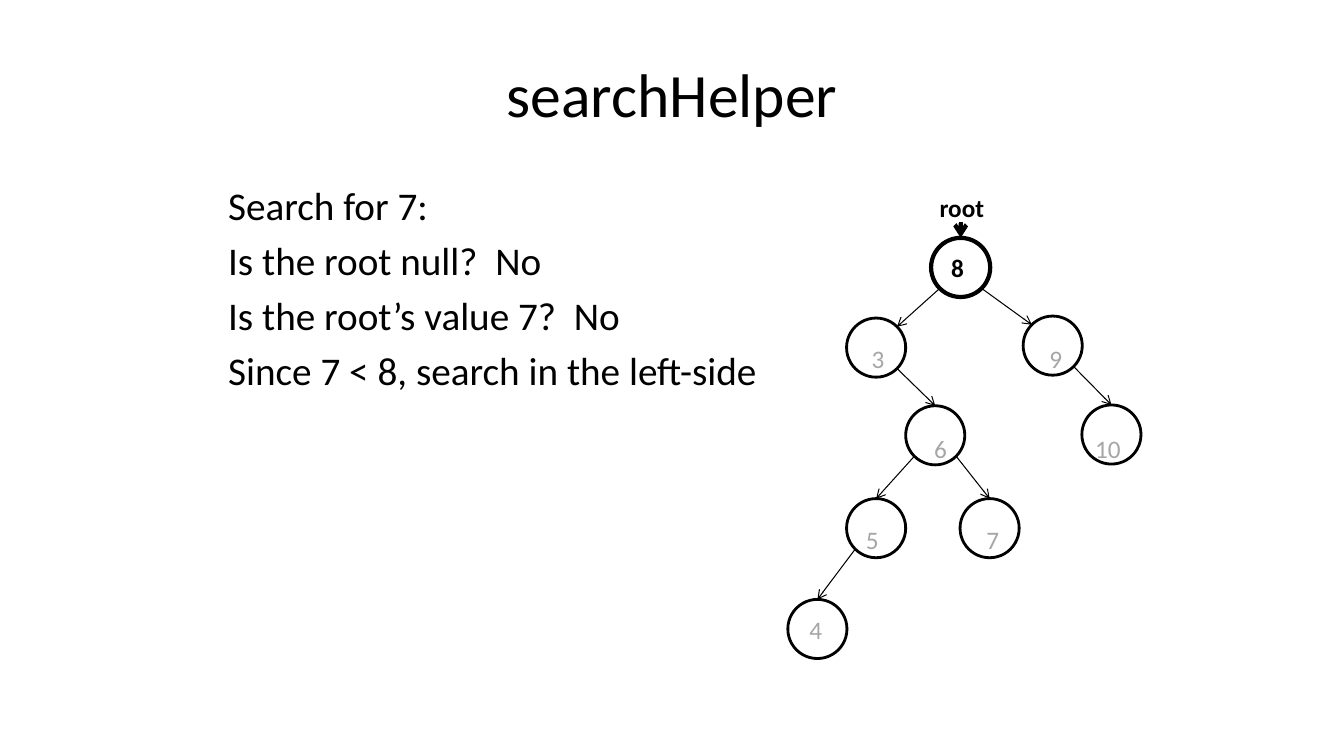
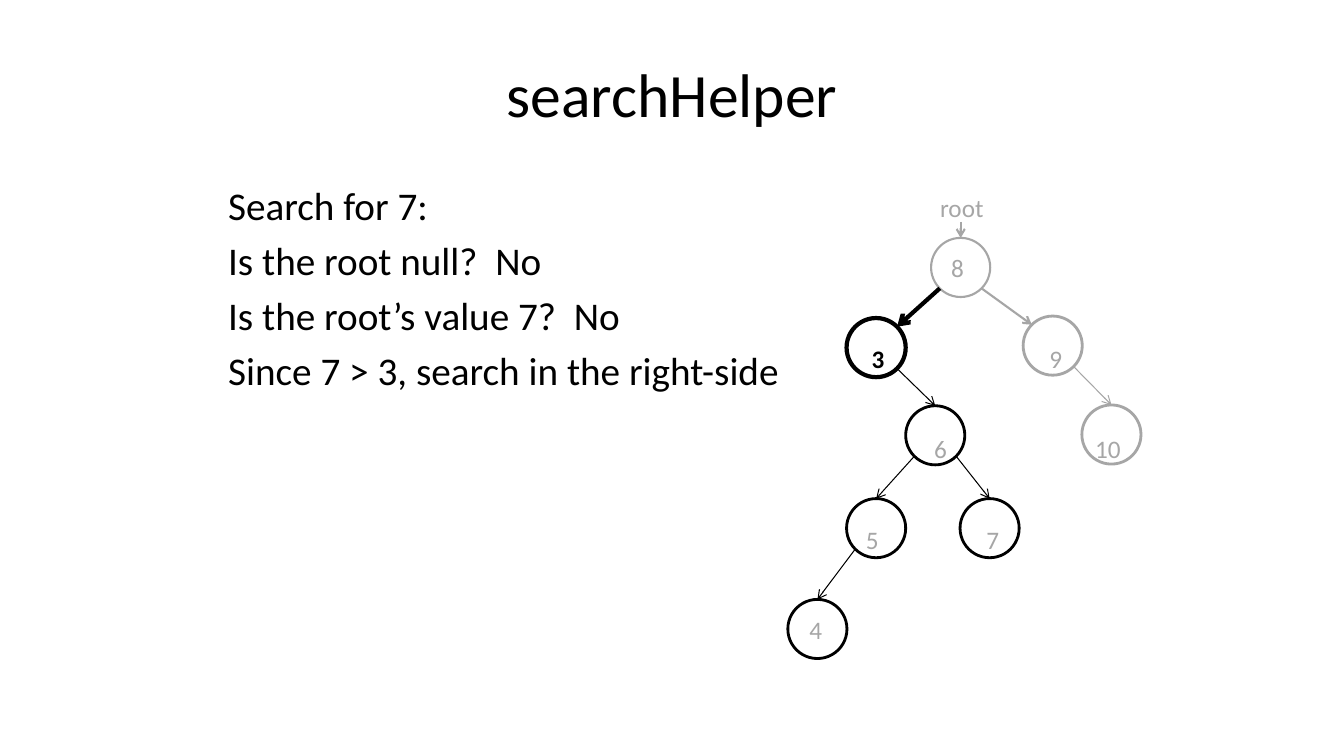
from math import sqrt
from typing import NamedTuple

from lxml.etree import SubElement
from pptx import Presentation
from pptx.dml.color import RGBColor
from pptx.enum.shapes import MSO_CONNECTOR as Connector, MSO_SHAPE as Shape
from pptx.enum.text import MSO_ANCHOR as Anchor, PP_ALIGN as Align
from pptx.oxml.ns import qn
from pptx.util import Cm, Pt

FONT = "Calibri"
BLACK = "000000"
GREY = "A6A6A6"

DIAMETER = 1.49
DIAGONAL = DIAMETER / 2 / sqrt(2)
FIRST_ROW_Y = 5.23
ROW_PITCH = 0.76
LABEL_WIDTH = 2.4
LABEL_HEIGHT = 0.8
ROOT_LABEL_X = 24.24
ROOT_ARROW_Y = 5.59


class Node(NamedTuple):
    x: float
    y: float
    label_x: float
    label_row: int


class Stroke(NamedTuple):
    color: str
    width: float


NODES = {
    8: Node(24.21, 6.74, 24.13, 2),
    3: Node(22.08, 8.76, 22.13, 5),
    9: Node(26.53, 8.71, 26.61, 5),
    6: Node(23.57, 10.97, 23.7, 8),
    10: Node(28.01, 10.95, 27.92, 8),
    5: Node(22.08, 13.31, 21.98, 11),
    7: Node(24.94, 13.31, 25.02, 11),
    4: Node(20.6, 15.85, 20.56, 14),
}
EDGES = [(8, 3), (8, 9), (3, 6), (9, 10), (6, 7), (6, 5), (5, 4)]

NODE_STROKE = Stroke(BLACK, 2)
EDGE_STROKE = Stroke(BLACK, 0.75)
ACTIVE_STROKE = Stroke(BLACK, 3)
PASSED_STROKE = Stroke(GREY, 1.5)

STEPS = [
    {
        "decision": "Since 7 < 8, search in the left-side",
        "active": (8, "root"),
        "root_arrow": ACTIVE_STROKE,
        "nodes": {8: ACTIVE_STROKE},
        "edges": {},
    },
    {
        "decision": "Since 7 > 3, search in the right-side",
        "active": (3,),
        "root_arrow": PASSED_STROKE,
        "nodes": {
            8: PASSED_STROKE,
            3: ACTIVE_STROKE,
            9: Stroke(GREY, 2),
            10: Stroke(GREY, 2),
        },
        "edges": {
            (8, 3): ACTIVE_STROKE,
            (8, 9): PASSED_STROKE,
            (9, 10): Stroke(GREY, 0.75),
        },
    },
]


def rgb(color):
    return RGBColor.from_string(color)


def apply_stroke(line, stroke):
    line.color.rgb = rgb(stroke.color)
    line.width = Pt(stroke.width)


def add_text(slide, box, lines, size, color=BLACK, bold=False,
             align=Align.LEFT, anchor=Anchor.TOP, gap=0):
    frame = slide.shapes.add_textbox(*map(Cm, box)).text_frame
    frame.word_wrap = True
    frame.vertical_anchor = anchor
    for index, line in enumerate(lines):
        paragraph = frame.add_paragraph() if index else frame.paragraphs[0]
        paragraph.alignment = align
        paragraph.space_before = Pt(gap if index else 0)
        run = paragraph.add_run()
        run.text = line
        run.font.name = FONT
        run.font.size = Pt(size)
        run.font.bold = bold
        run.font.color.rgb = rgb(color)


def add_title(slide, title):
    add_text(slide, (1.7, 0.76, 30.48, 3.18), [title], 44,
             align=Align.CENTER, anchor=Anchor.MIDDLE)


def add_questions(slide, decision):
    lines = [
        "Search for 7:",
        "Is the root null?  No",
        "Is the root’s value 7?  No",
        decision,
    ]
    add_text(slide, (5.5, 4.45, 15.1, 12.7), lines, 28, gap=5.6)


def add_label(slide, label, x, row, active):
    y = FIRST_ROW_Y + row * ROW_PITCH
    box = (x - LABEL_WIDTH / 2, y - LABEL_HEIGHT / 2, LABEL_WIDTH, LABEL_HEIGHT)
    add_text(slide, box, [str(label)], 18, BLACK if active else GREY, active,
             Align.CENTER, Anchor.MIDDLE)


def add_node(slide, node, stroke):
    radius = DIAMETER / 2
    circle = slide.shapes.add_shape(
        Shape.OVAL, Cm(node.x - radius), Cm(node.y - radius),
        Cm(DIAMETER), Cm(DIAMETER))
    circle.shadow.inherit = False
    circle.fill.background()
    apply_stroke(circle.line, stroke)


def add_arrow(slide, start, end, stroke):
    arrow = slide.shapes.add_connector(
        Connector.STRAIGHT, *map(Cm, (*start, *end)))
    apply_stroke(arrow.line, stroke)
    properties = arrow._element.spPr
    SubElement(properties.find(qn("a:ln")), qn("a:tailEnd"), type="arrow")
    SubElement(properties, qn("a:effectLst"))


def top_of(node):
    return node.x, node.y - DIAMETER / 2


def add_edge(slide, parent, child, stroke):
    upper, lower = NODES[parent], NODES[child]
    side = DIAGONAL if lower.x > upper.x else -DIAGONAL
    start = (upper.x + side, upper.y + DIAGONAL)
    end = (lower.x - side, lower.y - DIAGONAL) if parent == 8 else top_of(lower)
    add_arrow(slide, start, end, stroke)


def add_tree(slide, step):
    for value, node in NODES.items():
        add_node(slide, node, step["nodes"].get(value, NODE_STROKE))
    for edge in EDGES:
        add_edge(slide, *edge, step["edges"].get(edge, EDGE_STROKE))
    for value, node in NODES.items():
        add_label(slide, value, node.label_x, node.label_row,
                  value in step["active"])
    add_label(slide, "root", ROOT_LABEL_X, 0, "root" in step["active"])
    add_arrow(slide, (NODES[8].x, ROOT_ARROW_Y), top_of(NODES[8]),
              step["root_arrow"])


def main():
    deck = Presentation()
    deck.slide_width = Cm(33.87)
    deck.slide_height = Cm(19.05)
    for step in STEPS:
        slide = deck.slides.add_slide(deck.slide_layouts[6])
        add_title(slide, "searchHelper")
        add_questions(slide, step["decision"])
        add_tree(slide, step)
    deck.save("out.pptx")


if __name__ == "__main__":
    main()
